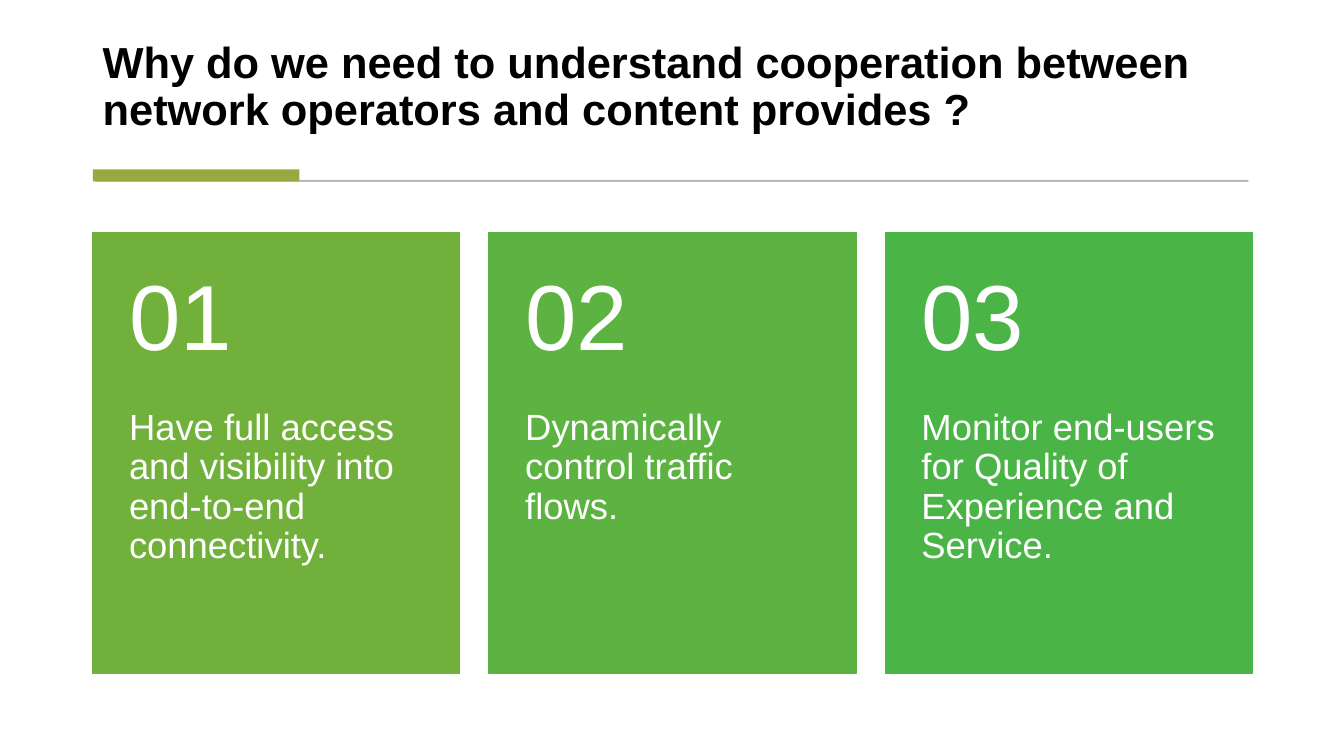
from dataclasses import dataclass

from lxml.etree import SubElement
from pptx import Presentation
from pptx.dml.color import RGBColor
from pptx.enum.shapes import MSO_SHAPE as Preset
from pptx.enum.text import MSO_ANCHOR as Anchor, PP_ALIGN as Align
from pptx.oxml.ns import qn
from pptx.shapes.autoshape import Shape
from pptx.slide import Slide
from pptx.util import Inches, Pt

COLORS = {
    "title": "000000",
    "rule": "595959",
    "accent": "9BA842",
    "card_text": "FFFFFF",
    "olive": "71B13B",
    "leaf": "5DB341",
    "green": "4BB447",
}
FONT = "Arial"
CARD_LEFT, CARD_TOP, CARD_PITCH = 0.92, 2.31, 3.93
CARD_WIDTH, CARD_HEIGHT = 3.64, 4.37
NUMBER_HEIGHT, REASON_HEIGHT = 1.75, 2.62
CARD_INSET = 0.36


@dataclass(frozen=True)
class Box:
    left: float
    top: float
    width: float
    height: float

    def lengths(self) -> list[Inches]:
        return [Inches(v) for v in (self.left, self.top, self.width, self.height)]


@dataclass(frozen=True)
class TextStyle:
    size: float
    color: str
    anchor: Anchor
    insets: tuple[float, float, float, float]
    bold: bool = False


@dataclass(frozen=True)
class Card:
    reason: str
    color: str


TITLE = TextStyle(31, "title", Anchor.BOTTOM, (0.1, 0.05, 0.1, 0.05), bold=True)
NUMBER = TextStyle(66, "card_text", Anchor.MIDDLE, (CARD_INSET, 0.18, CARD_INSET, 0.18))
REASON = TextStyle(26, "card_text", Anchor.TOP, (CARD_INSET, 0, CARD_INSET, CARD_INSET))

CARDS = [
    Card("Have full access and visibility into end-to-end connectivity.", "olive"),
    Card("Dynamically control traffic flows.", "leaf"),
    Card("Monitor end-users for Quality of Experience and Service.", "green"),
]


def rgb(name: str) -> RGBColor:
    return RGBColor.from_string(COLORS[name])


def add_block(slide: Slide, box: Box, color: str, line_width: float = 0) -> Shape:
    block = slide.shapes.add_shape(Preset.RECTANGLE, *box.lengths())
    block.shadow.inherit = False
    block.fill.solid()
    block.fill.fore_color.rgb = rgb(color)
    if line_width:
        block.line.color.rgb = rgb(color)
        block.line.width = Pt(line_width)
    else:
        block.line.fill.background()
    return block


def set_opacity(block: Shape, percent: int) -> None:
    for color in block.element.spPr.iter(qn("a:srgbClr")):
        SubElement(color, qn("a:alpha"), val=str(percent * 1000))


def add_text(slide: Slide, box: Box, text: str, style: TextStyle) -> None:
    frame = slide.shapes.add_textbox(*box.lengths()).text_frame
    frame.word_wrap = True
    frame.vertical_anchor = style.anchor
    (frame.margin_left, frame.margin_top,
     frame.margin_right, frame.margin_bottom) = map(Inches, style.insets)
    paragraph = frame.paragraphs[0]
    paragraph.alignment = Align.LEFT
    paragraph.line_spacing = 0.9
    run = paragraph.add_run()
    run.text = text
    run.font.name = FONT
    run.font.size = Pt(style.size)
    run.font.bold = style.bold
    run.font.color.rgb = rgb(style.color)


def add_card(slide: Slide, index: int, card: Card) -> None:
    left = CARD_LEFT + index * CARD_PITCH
    add_block(slide, Box(left, CARD_TOP, CARD_WIDTH, CARD_HEIGHT), card.color, 1)
    reason_top = CARD_TOP + NUMBER_HEIGHT
    add_text(slide, Box(left, reason_top, CARD_WIDTH, REASON_HEIGHT), card.reason, REASON)
    add_text(slide, Box(left, CARD_TOP, CARD_WIDTH, NUMBER_HEIGHT), f"{index + 1:02}", NUMBER)


def main() -> None:
    deck = Presentation()
    deck.slide_width, deck.slide_height = Inches(13.33), Inches(7.5)
    slide = deck.slides.add_slide(deck.slide_layouts[6])

    question = ("Why do we need to understand cooperation between "
                "network operators and content provides ?")
    add_text(slide, Box(0.92, 0.28, 11.49, 1.11), question, TITLE)

    rule = add_block(slide, Box(0.95, 1.79, 11.43, 0.01), "rule", 0.75)
    set_opacity(rule, 30)
    add_block(slide, Box(0.92, 1.68, 2.05, 0.12), "accent")

    for index, card in enumerate(CARDS):
        add_card(slide, index, card)

    deck.save("out.pptx")


if __name__ == "__main__":
    main()
